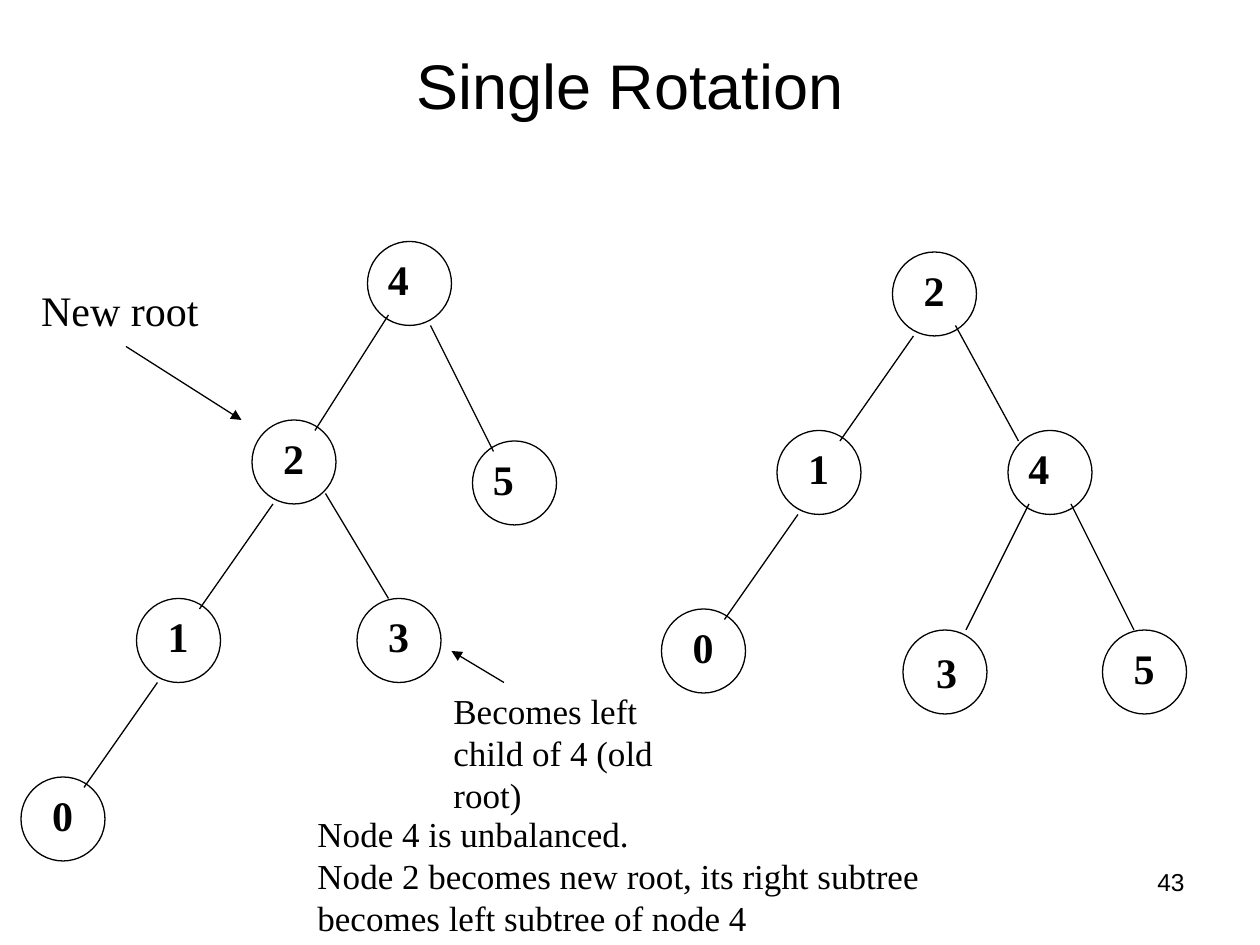
import pptx
import pptx.util
import pptx.dml.color
import pptx.enum.shapes
import pptx.enum.text
import pptx.oxml.ns
from lxml import etree

Cm = pptx.util.Cm
Pt = pptx.util.Pt
BLACK = pptx.dml.color.RGBColor(0, 0, 0)
SERIF = "Times New Roman"
GRID = Cm(25.4 / 120)
NODE_SIZE = 8 * GRID

presentation = pptx.Presentation()
presentation.slide_width = Cm(25.4)
presentation.slide_height = Cm(19.05)
slide = presentation.slides.add_slide(presentation.slide_layouts[5])


def write(text_frame, lines, size, font_name=SERIF, bold=False, alignment=None, spacing=None):
    for index, line in enumerate(lines):
        paragraph = text_frame.paragraphs[0] if index == 0 else text_frame.add_paragraph()
        paragraph.alignment = alignment
        paragraph.line_spacing = spacing
        run = paragraph.add_run()
        run.text = line
        run.font.name = font_name
        run.font.size = Pt(size)
        run.font.bold = bold
        run.font.color.rgb = BLACK


def add_line(start_x, start_y, end_x, end_y):
    connector = slide.shapes.add_connector(
        pptx.enum.shapes.MSO_CONNECTOR.STRAIGHT,
        start_x * GRID, start_y * GRID, end_x * GRID, end_y * GRID)
    connector.line.color.rgb = BLACK
    connector.line.width = Pt(0.75)
    properties = connector._element.spPr
    etree.SubElement(properties, pptx.oxml.ns.qn("a:effectLst"))
    return connector


title = slide.shapes.title
title.left, title.top, title.width, title.height = Cm(1.9), Cm(0.64), Cm(21.6), Cm(2.12)
title.text_frame.vertical_anchor = pptx.enum.text.MSO_ANCHOR.MIDDLE
write(title.text_frame, ["Single Rotation"], 36, "Arial",
      alignment=pptx.enum.text.PP_ALIGN.CENTER)

CENTERED = (0.38, 0.12)
SHIFTED = (0.16, 0.12)
LOWERED = (0.42, 0.21)
old_tree_nodes = [
    ("4", 35, 23, SHIFTED), ("2", 24, 40, CENTERED), ("5", 45, 42, SHIFTED),
    ("1", 13, 57, CENTERED), ("3", 34, 57, CENTERED), ("0", 2, 74, CENTERED),
]
new_tree_nodes = [
    ("2", 85, 24, CENTERED), ("1", 74, 41, CENTERED), ("4", 96, 41, SHIFTED),
    ("0", 63, 58, CENTERED), ("3", 86, 60, LOWERED), ("5", 105, 60, CENTERED),
]
for key, column, row, (offset_x, offset_y) in old_tree_nodes + new_tree_nodes:
    left, top = column * GRID, row * GRID
    node = slide.shapes.add_shape(
        pptx.enum.shapes.MSO_SHAPE.OVAL, left, top, NODE_SIZE, NODE_SIZE)
    node.shadow.inherit = False
    node.fill.background()
    node.line.color.rgb = BLACK
    node.line.width = Pt(0.75)
    label = slide.shapes.add_textbox(left + Cm(offset_x), top + Cm(offset_y), Cm(0.94), Cm(1.27))
    label.text_frame.word_wrap = False
    write(label.text_frame, [key], 24, bold=True, spacing=Pt(28.8))

old_tree_edges = [
    (37, 30, 30, 41), (41, 31, 47, 43), (26, 48, 19, 58),
    (31, 47, 37, 57), (15, 65, 8, 75),
]
new_tree_edges = [
    (87, 32, 80, 42), (97, 42, 91, 31), (76, 49, 69, 59),
    (98, 48, 92, 60), (102, 48, 108, 60),
]
for edge in old_tree_edges + new_tree_edges:
    add_line(*edge)

for pointer in [(12, 33, 23, 40), (48, 65, 43, 62)]:
    arrow = add_line(*pointer)
    line_properties = arrow.line._get_or_add_ln()
    etree.SubElement(line_properties, pptx.oxml.ns.qn("a:tailEnd"), type="triangle")

notes = [
    (0.58, 5.61, 3.68, 1.27, 24, ["New root"]),
    (8.89, 13.77, 5.95, 1.96, 20, ["Becomes left", "child of 4 (old root)"]),
    (6.15, 16.26, 13.64, 2.79, 20, [
        "Node 4 is unbalanced.",
        "Node 2 becomes new root, its right subtree becomes left subtree of node 4",
    ]),
]
for left, top, width, height, size, lines in notes:
    note = slide.shapes.add_textbox(Cm(left), Cm(top), Cm(width), Cm(height))
    note.text_frame.word_wrap = True
    write(note.text_frame, lines, size, spacing=Pt(1.2 * size))

page_number = slide.shapes.add_textbox(Cm(18.21), Cm(17.35), Cm(5.92), Cm(1.32))
page_number.text_frame.word_wrap = True
write(page_number.text_frame, ["43"], 14, "Arial", alignment=pptx.enum.text.PP_ALIGN.RIGHT)

presentation.save("out.pptx")
